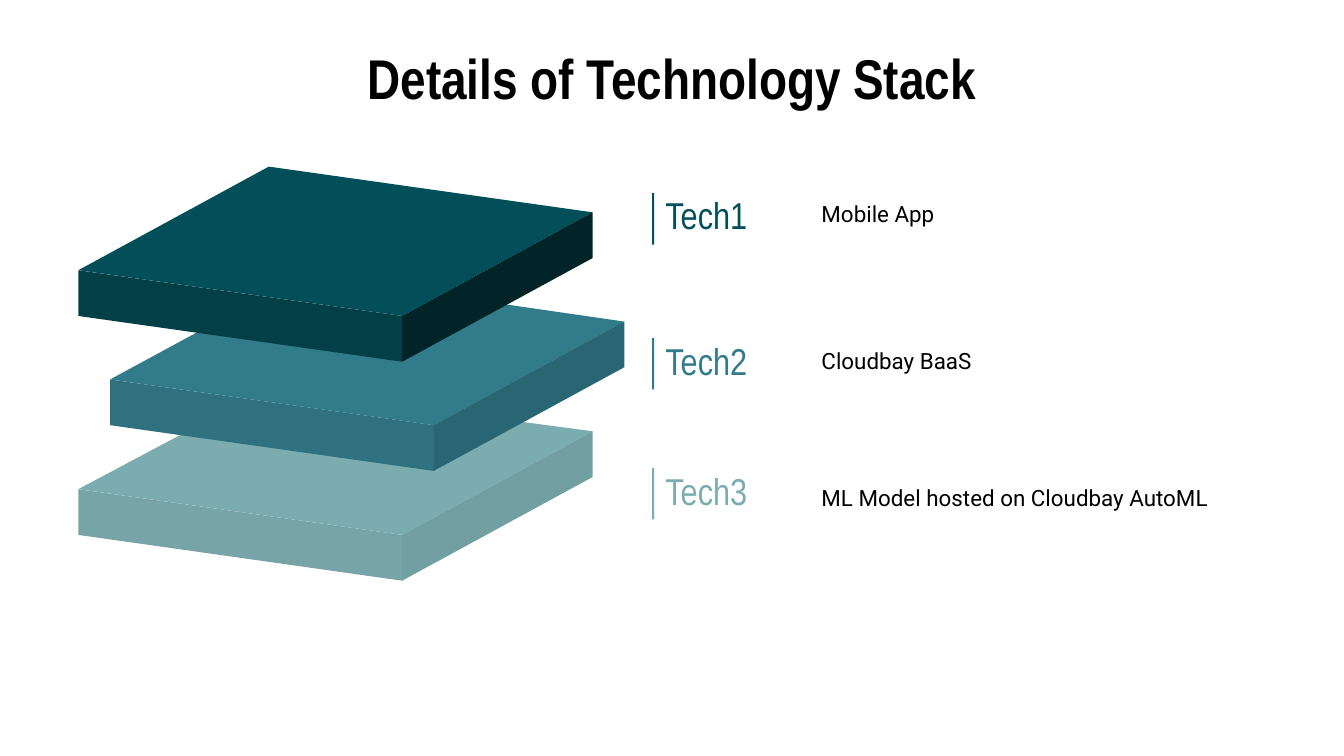
import pptx
import pptx.dml.color
import pptx.enum.shapes
import pptx.enum.text
import pptx.util

Pt = pptx.util.Pt
RGBColor = pptx.dml.color.RGBColor

BLACK = RGBColor(0x00, 0x00, 0x00)
DARK_TOP = RGBColor(0x02, 0x4F, 0x59)
DARK_FRONT = RGBColor(0x02, 0x3F, 0x47)
DARK_SIDE = RGBColor(0x01, 0x24, 0x28)
MIDDLE_TOP = RGBColor(0x32, 0x7B, 0x8A)
MIDDLE_FRONT = RGBColor(0x2F, 0x71, 0x7F)
MIDDLE_SIDE = RGBColor(0x29, 0x66, 0x73)
LIGHT_TOP = RGBColor(0x7B, 0xAC, 0xB0)
LIGHT_FRONT = RGBColor(0x77, 0xA4, 0xA7)
LIGHT_SIDE = RGBColor(0x72, 0x9F, 0xA2)

HEADING_FONT = "Arial Narrow"
BODY_FONT = "Roboto"

# Corners of a slab's top face, measured from the slab's own origin
LEFT, FRONT, RIGHT = (0, 55.5), (173.5, 80), (275.5, 24.5)
THICKNESS = 24.5

# Bottom to top: origin, back edge of the top face (notched under the slab
# above), colours of top, front and side
SLABS = [
    ((42, 206.6), [(238, 19.5), (191, 45.4), (55.5, 26)],
     (LIGHT_TOP, LIGHT_FRONT, LIGHT_SIDE)),
    ((59, 147.8), [(210, 15), (156.5, 44.5), (48, 29.5)],
     (MIDDLE_TOP, MIDDLE_FRONT, MIDDLE_SIDE)),
    ((42, 89.3), [(102, 0)], (DARK_TOP, DARK_FRONT, DARK_SIDE)),
]

# Label, colour, top of bar, top of label, description, top of description
ROWS = [
    ("Tech1", DARK_TOP, 103.5, 96, "Mobile App", 100),
    ("Tech2", MIDDLE_TOP, 181, 174, "Cloudbay BaaS", 178.5),
    ("Tech3", LIGHT_TOP, 250.7, 243.5,
     "ML Model hosted on Cloudbay AutoML", 252),
]


def paint(shape, color):
    shape.shadow.inherit = False
    shape.fill.solid()
    shape.fill.fore_color.rgb = color
    shape.line.fill.background()


def add_polygon(slide, origin, corners, color):
    left, top = origin
    points = [(Pt(left + x), Pt(top + y)) for x, y in corners]
    builder = slide.shapes.build_freeform(*points[0])
    builder.add_line_segments(points[1:], close=True)
    paint(builder.convert_to_shape(), color)


def lowered(corner):
    x, y = corner
    return x, y + THICKNESS


def add_slab(slide, origin, back_edge, colors):
    faces = [
        back_edge + [LEFT, FRONT, RIGHT],
        [LEFT, lowered(LEFT), lowered(FRONT), FRONT],
        [RIGHT, FRONT, lowered(FRONT), lowered(RIGHT)],
    ]
    for corners, color in zip(faces, colors):
        add_polygon(slide, origin, corners, color)


def add_bar(slide, top, color):
    bar = slide.shapes.add_shape(
        pptx.enum.shapes.MSO_SHAPE.RECTANGLE, Pt(349.4), Pt(top), Pt(1), Pt(27.6))
    paint(bar, color)


def add_text(slide, box, text, font, size, color, bold=False,
             alignment=pptx.enum.text.PP_ALIGN.LEFT):
    text_frame = slide.shapes.add_textbox(*map(Pt, box)).text_frame
    text_frame.word_wrap = True
    text_frame.margin_left = text_frame.margin_right = Pt(7.2)
    text_frame.margin_top = text_frame.margin_bottom = Pt(7.2)
    paragraph = text_frame.paragraphs[0]
    paragraph.alignment = alignment
    run = paragraph.add_run()
    run.text = text
    run.font.name = font
    run.font.size = Pt(size)
    run.font.bold = bold
    run.font.color.rgb = color


def main():
    presentation = pptx.Presentation()
    presentation.slide_width = Pt(720)
    presentation.slide_height = Pt(405)
    slide = presentation.slides.add_slide(presentation.slide_layouts[6])

    add_text(slide, (182, 16, 356, 49), "Details of Technology Stack",
             HEADING_FONT, 30, BLACK, bold=True,
             alignment=pptx.enum.text.PP_ALIGN.CENTER)
    for origin, back_edge, colors in SLABS:
        add_slab(slide, origin, back_edge, colors)
    for label, color, bar_top, label_top, description, description_top in ROWS:
        add_bar(slide, bar_top, color)
        add_text(slide, (349.4, label_top, 102, 28), label,
                 HEADING_FONT, 20, color)
        add_text(slide, (433, description_top, 256, 59), description,
                 BODY_FONT, 12, BLACK)

    presentation.save("out.pptx")


if __name__ == "__main__":
    main()
